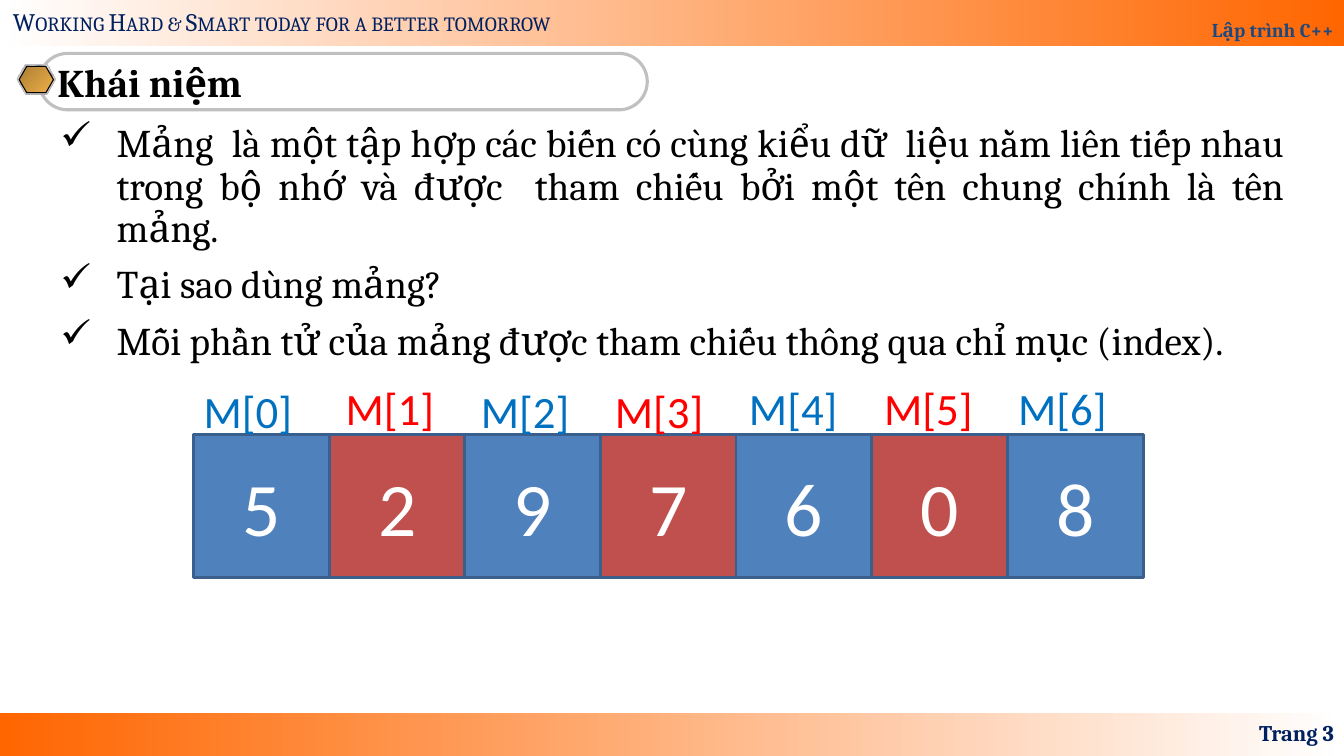
from lxml.etree import SubElement
from pptx import Presentation
from pptx.dml.color import RGBColor
from pptx.enum.shapes import MSO_SHAPE
from pptx.enum.text import MSO_ANCHOR, PP_ALIGN
from pptx.oxml.ns import qn
from pptx.util import Inches, Pt

THEME = {
    "white": "FFFFFF", "orange": "FF6600", "navy": "002060", "course": "1F497D",
    "black": "000000", "silver": "C0C0C0", "gray": "808080",
    "cell": ["4F81BD", "C0504D"], "cell_line": "3A5F8C",
    "index": ["0070C0", "FF0000"],
    "gold": [(0, "AB7E34"), (100, "EFB049")],
    "metal": [(0, "E6E6E6"), (7, "7D8496"), (26, "E6E6E6"), (34, "7D8496"),
              (46, "E6E6E6"), (50, "FFFFFF"), (54, "E6E6E6"), (66, "7D8496"),
              (74, "E6E6E6"), (93, "7D8496"), (100, "E6E6E6")],
    "serif": "Cambria", "sans": "Calibri",
    "course_size": 14, "page_size": 16, "motto_size": 18,
    "body_size": 28, "index_size": 32, "value_size": 54,
}

presentation = Presentation()
presentation.slide_width = Inches(13.33)
presentation.slide_height = Inches(7.5)
slide = presentation.slides.add_slide(presentation.slide_layouts[6])


def add_panel(preset, left, top, width, height, fill=None, angle=0, line=None, weight=0.75):
    panel = slide.shapes.add_shape(preset, Inches(left), Inches(top), Inches(width), Inches(height))
    panel.shadow.inherit = False
    if fill is None:
        panel.fill.background()
    elif isinstance(fill, str):
        panel.fill.solid()
        panel.fill.fore_color.rgb = RGBColor.from_string(fill)
    else:
        panel.fill.gradient()
        panel.fill.gradient_angle = -angle % 360
        stops = panel._element.spPr.find(qn("a:gradFill")).find(qn("a:gsLst"))
        for stop in list(stops):
            stops.remove(stop)
        for position, color in fill:
            stop = SubElement(stops, qn("a:gs"), pos=str(position * 1000))
            SubElement(stop, qn("a:srgbClr"), val=color)
    if line:
        panel.line.color.rgb = RGBColor.from_string(line)
        panel.line.width = Pt(weight)
    else:
        panel.line.fill.background()
    return panel


def write_text(text, host=None, at=None, size=28, color="000000", font=THEME["serif"],
               bold=False, align=PP_ALIGN.LEFT, anchor=MSO_ANCHOR.TOP, wrap=True,
               spacing=None, before=0, bullet=None, small_caps=False):
    host = host or slide.shapes.add_textbox(*[Inches(length) for length in at])
    frame = host.text_frame
    frame.word_wrap = wrap
    frame.vertical_anchor = anchor
    for number, line in enumerate(text.split("\n")):
        paragraph = frame.add_paragraph() if number else frame.paragraphs[0]
        paragraph.alignment = align
        if spacing:
            paragraph.line_spacing = spacing
        if number:
            paragraph.space_before = Pt(before)
        if bullet:
            properties = paragraph._p.get_or_add_pPr()
            properties.set("marL", str(Inches(0.56)))
            properties.set("indent", str(Inches(-0.56)))
            SubElement(properties, qn("a:buChar"), char=bullet)
        run = paragraph.add_run()
        run.text = line
        run.font.name = font
        run.font.size = Pt(size)
        run.font.bold = bold
        run.font.color.rgb = RGBColor.from_string(color)
        if small_caps:
            run._r.get_or_add_rPr().set("cap", "small")


add_panel(MSO_SHAPE.RECTANGLE, 0, 7.07, 13.33, 0.43,
          fill=[(0, THEME["orange"]), (100, THEME["white"])])
header = add_panel(MSO_SHAPE.RECTANGLE, 0, 0, 13.33, 0.46,
                   fill=[(0, THEME["white"]), (100, THEME["orange"])])
write_text("Lập trình C++", host=header, size=THEME["course_size"], color=THEME["course"],
           bold=True, align=PP_ALIGN.RIGHT, anchor=MSO_ANCHOR.BOTTOM, spacing=1.8)
write_text("Working Hard & Smart today for a better tomorrow", at=(0.03, 0.01, 5.9, 0.4),
           size=THEME["motto_size"], color=THEME["navy"], wrap=False, small_caps=True)

heading = add_panel(MSO_SHAPE.ROUNDED_RECTANGLE, 0.39, 0.53, 6.03, 0.56,
                    line=THEME["silver"], weight=2.25)
heading.adjustments[0] = 0.5
write_text("Khái niệm", host=heading, size=THEME["body_size"], color=THEME["black"],
           bold=True, anchor=MSO_ANCHOR.MIDDLE, wrap=False)
for left, top, width, height, fill, line in [
    (0.17, 0.65, 0.38, 0.29, THEME["gray"], None),
    (0.17, 0.64, 0.38, 0.29, THEME["metal"], THEME["silver"]),
    (0.19, 0.66, 0.34, 0.26, THEME["gold"], THEME["black"]),
]:
    badge = add_panel(MSO_SHAPE.HEXAGON, left, top, width, height, fill=fill, angle=45, line=line)
    badge.adjustments[0] = 0.289

write_text("Trang 3", at=(10.22, 7.07, 3.11, 0.4), size=THEME["page_size"], color=THEME["navy"],
           bold=True, align=PP_ALIGN.RIGHT, anchor=MSO_ANCHOR.MIDDLE)
write_text(
    "Mảng  là một tập hợp các biến có cùng kiểu dữ  liệu nằm liên tiếp nhau trong bộ nhớ "
    "và được  tham chiếu bởi một tên chung chính là tên mảng.\n"
    "Tại sao dùng mảng?\n"
    "Mỗi phần tử của mảng được tham chiếu thông qua chỉ mục (index).",
    at=(0.5, 1.18, 12.33, 5.74), size=THEME["body_size"], color=THEME["black"],
    align=PP_ALIGN.JUSTIFY, spacing=0.9, before=10, bullet="✓")

array_values = [5, 2, 9, 7, 6, 0, 8]
for index, value in enumerate(array_values):
    cell = add_panel(MSO_SHAPE.RECTANGLE, 1.92 + 1.345 * index, 4.31, 1.35, 1.42,
                     fill=THEME["cell"][index % 2], line=THEME["cell_line"], weight=2)
    write_text(str(value), host=cell, size=THEME["value_size"], color=THEME["white"],
               font=THEME["sans"], align=PP_ALIGN.CENTER, anchor=MSO_ANCHOR.MIDDLE)

index_lefts = [1.92, 3.33, 4.67, 6, 7.33, 8.67, 10]
for index, left in enumerate(index_lefts):
    top = 3.76 if index in (0, 2, 3) else 3.73
    write_text(f"M[{index}]", at=(left, top, 1.42, 0.64), size=THEME["index_size"],
               color=THEME["index"][index % 2], font=THEME["sans"])

presentation.save("out.pptx")
